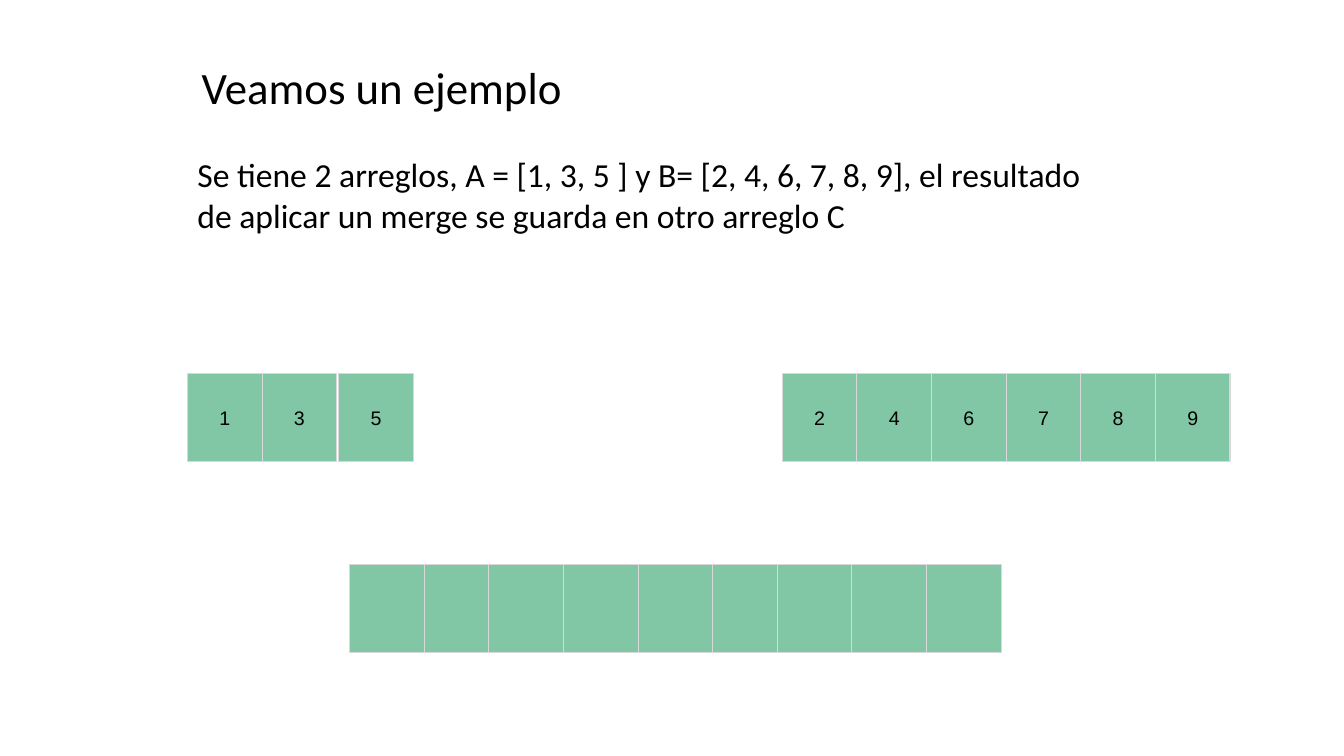
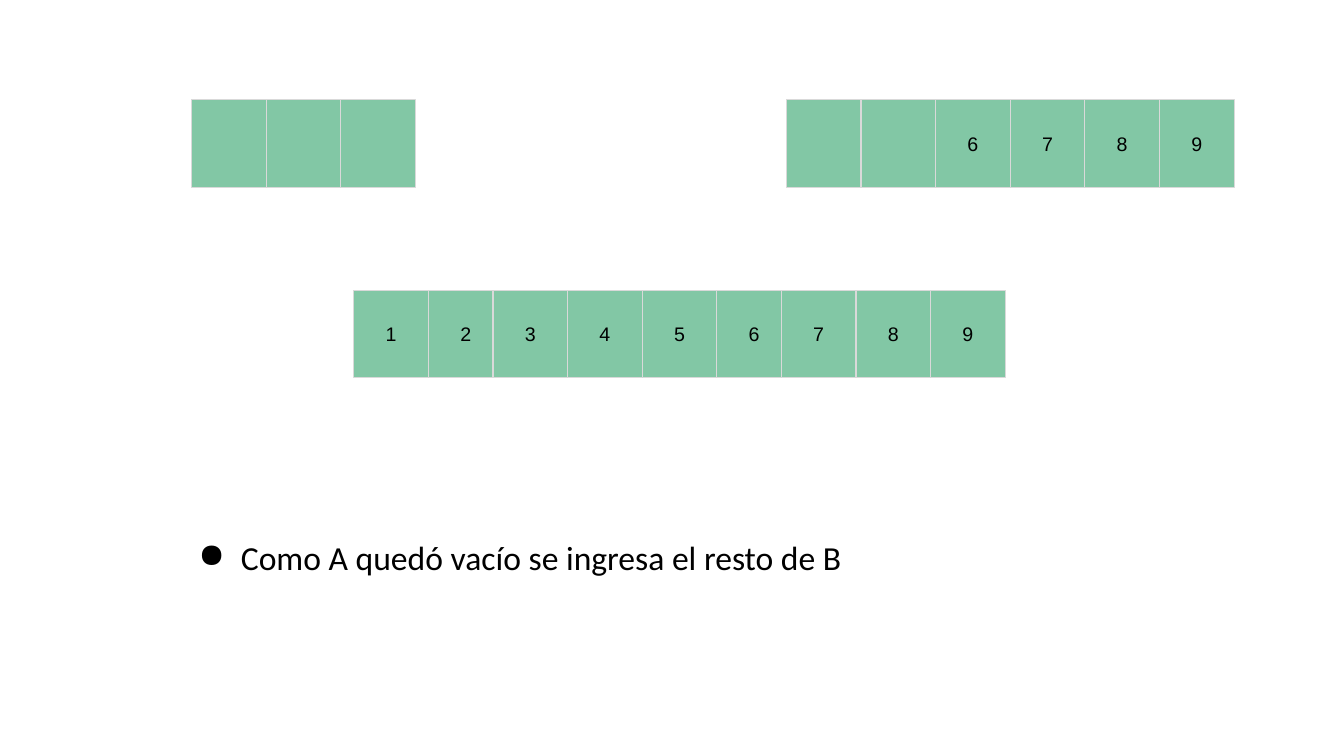
from lxml.etree import SubElement
from pptx import Presentation
from pptx.dml.color import RGBColor
from pptx.enum.shapes import MSO_SHAPE
from pptx.enum.text import MSO_ANCHOR, PP_ALIGN
from pptx.oxml.ns import qn
from pptx.util import Inches, Pt

BLACK = RGBColor(0x00, 0x00, 0x00)
GREEN = RGBColor(0x82, 0xC7, 0xA5)
GREY = RGBColor(0xD9, 0xD9, 0xD9)

TITLE = "Veamos un ejemplo"
STATEMENT = (
    "Se tiene 2 arreglos, A = [1, 3, 5 ] y B= [2, 4, 6, 7, 8, 9], "
    "el resultado de aplicar un merge se guarda en otro arreglo C"
)
CONCLUSION = "Como A quedó vacío se ingresa el resto de B"

START = {
    "origin": (1.86, 3.71),
    "arrays": {"A": ["1", "3", "5"], "B": list("246789"), "C": [""] * 9},
    "nudges": {("A", 2): 0.02},
}
FINISH = {
    "origin": (1.9, 0.99),
    "arrays": {"A": [""] * 3, "B": ["", "", *"6789"], "C": list("123456789")},
    "nudges": {},
}

CELL_WIDTH, CELL_HEIGHT = 0.74, 0.87
ARRAY_OFFSETS = {"A": (0, 0), "B": (5.9, 0), "C": (1.61, 1.89)}
OVERLAP = 0.1
OVERLAPPED_CELLS = {"C": (2, 6)}

TITLE_FONT = {"name": "Calibri", "size": Pt(32), "bold": False}
BODY_FONT = {"name": "Calibri", "size": Pt(24)}
CELL_FONT = {"name": "Arial", "size": Pt(14)}


def write(box, text, font, align, anchor, inset):
    frame = box.text_frame
    margins = ("margin_left", "margin_top", "margin_right", "margin_bottom")
    settings = {"word_wrap": True, "vertical_anchor": anchor}
    settings.update({margin: Inches(inset) for margin in margins})
    for name, value in settings.items():
        setattr(frame, name, value)
    para = frame.paragraphs[0]
    para.alignment = align
    if text:
        span = para.add_run()
        span.text = text
        for name, value in font.items():
            setattr(span.font, name, value)
        span.font.color.rgb = BLACK
    return para


def add_text(page, text, area):
    box = page.shapes.add_textbox(*map(Inches, area))
    return write(box, text, BODY_FONT, PP_ALIGN.LEFT, MSO_ANCHOR.TOP, 0.1)


def add_bullet(para):
    properties = para._p.get_or_add_pPr()
    properties.set("marL", str(Inches(0.5)))
    properties.set("indent", str(Inches(-0.42)))
    colour = SubElement(properties, qn("a:buClr"))
    SubElement(colour, qn("a:srgbClr"), val=str(BLACK))
    SubElement(properties, qn("a:buChar"), char="●")


def add_cell(page, text, left, top):
    area = map(Inches, (left, top, CELL_WIDTH, CELL_HEIGHT))
    cell = page.shapes.add_shape(MSO_SHAPE.RECTANGLE, *area)
    cell.shadow.inherit = False
    cell.fill.solid()
    cell.fill.fore_color.rgb = GREEN
    cell.line.color.rgb = GREY
    cell.line.width = Pt(0.75)
    write(cell, text, CELL_FONT, PP_ALIGN.CENTER, MSO_ANCHOR.MIDDLE, 0.1)


def add_arrays(page, state):
    origin_left, origin_top = state["origin"]
    for name, values in state["arrays"].items():
        offset_left, offset_top = ARRAY_OFFSETS[name]
        for index, value in enumerate(values):
            overlaps = sum(index >= cell for cell in OVERLAPPED_CELLS.get(name, ()))
            shift = state["nudges"].get((name, index), 0) - overlaps * OVERLAP
            left = origin_left + offset_left + index * CELL_WIDTH + shift
            add_cell(page, value, left, origin_top + offset_top)


def add_title(page, text):
    box = page.shapes.title
    area = dict(zip(("left", "top", "width", "height"), (2, 0.59, 9.33, 0.54)))
    for name, value in area.items():
        setattr(box, name, Inches(value))
    write(box, text, TITLE_FONT, PP_ALIGN.LEFT, MSO_ANCHOR.TOP, 0)


def main():
    deck = Presentation()
    deck.slide_width, deck.slide_height = Inches(13.33), Inches(7.5)
    title_only, blank = deck.slide_layouts[5], deck.slide_layouts[6]

    page = deck.slides.add_slide(title_only)
    add_title(page, TITLE)
    add_text(page, STATEMENT, (1.86, 1.43, 9.33, 1.01))
    add_arrays(page, START)

    page = deck.slides.add_slide(blank)
    add_arrays(page, FINISH)
    add_bullet(add_text(page, CONCLUSION, (1.79, 5.23, 7.35, 0.61)))

    deck.save("out.pptx")


if __name__ == "__main__":
    main()
